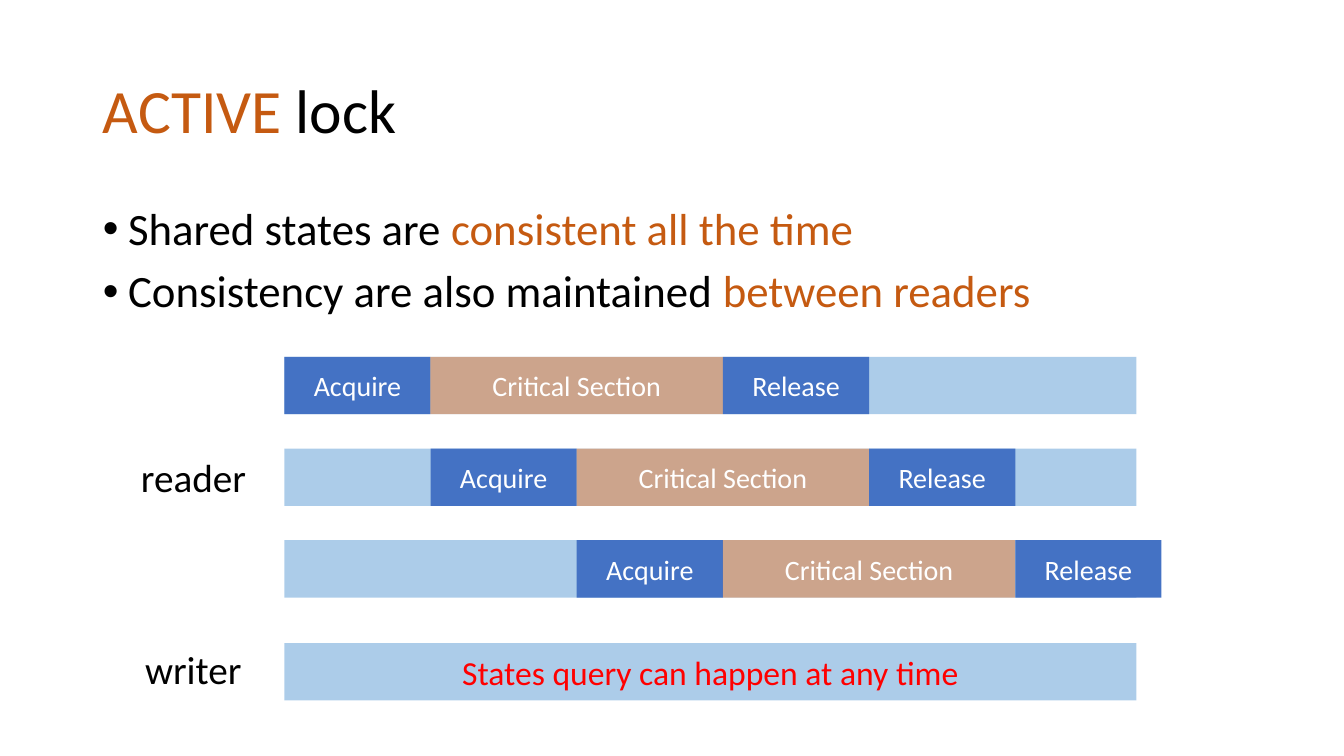
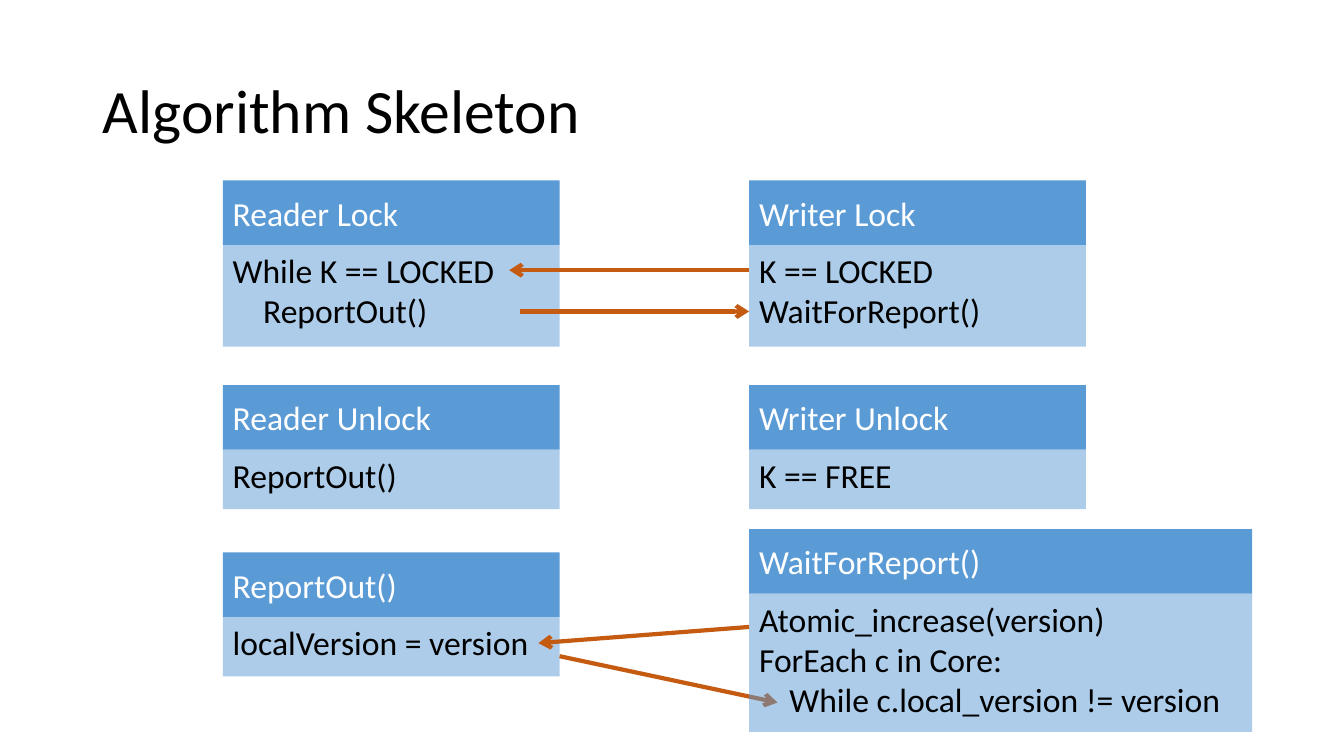
import pptx
import pptx.util
import pptx.dml.color
import pptx.enum.shapes
import pptx.enum.text
import pptx.oxml
import pptx.oxml.ns
import lxml.etree

Inches = pptx.util.Inches
Pt = pptx.util.Pt
ALIGN = pptx.enum.text.PP_ALIGN
ANCHOR = pptx.enum.text.MSO_ANCHOR

FONT = "Calibri"
COLORS = {
    "black": "000000",
    "white": "FFFFFF",
    "accent": "C55A11",
    "red": "FF0000",
    "sky": "5B9BD5",
    "blue": "4472C4",
    "orange": "ED7D31",
}

LOCK_TITLE = [("ACTIVE ", "accent"), ("lock", "black")]
LOCK_BULLETS = [
    [("Shared states are ", "black"), ("consistent all the time", "accent")],
    [("Consistency are also maintained ", "black"), ("between readers", "accent")],
]
LANE_LEFT, LANE_TOP, LANE_STEP = 2.82, 3.54, 0.91
LANE_WIDTH, LANE_HEIGHT = 8.45, 0.57
READER_COUNT = 3
PHASE_UNIT = 1.45
PHASES = [
    ("Acquire", 1, "blue", 100),
    ("Critical Section", 2, "orange", 50),
    ("Release", 1, "blue", 100),
]
WRITER_TOP = 6.38
WRITER_TEXT = "States query can happen at any time"
LANE_LABELS = [("reader", 1.3, 4.45, 1.25), ("writer", 1.34, 6.35, 1.17)]

SKELETON_TITLE = [("Algorithm Skeleton", "black")]
LEFT_COLUMN, RIGHT_COLUMN = 2.21, 7.43
CARD_WIDTH, WIDE_CARD = 3.34, 4.99
HEADER_HEIGHT = 0.64
BODY_HEIGHTS = {1: 0.59, 2: 1.01, 3: 1.37}
CARDS = [
    (LEFT_COLUMN, 1.79, CARD_WIDTH, "Reader Lock", ["While K == LOCKED", "    ReportOut()"]),
    (LEFT_COLUMN, 3.82, CARD_WIDTH, "Reader Unlock", ["ReportOut()"]),
    (LEFT_COLUMN, 5.48, CARD_WIDTH, "ReportOut()", ["localVersion = version"]),
    (RIGHT_COLUMN, 1.79, CARD_WIDTH, "Writer Lock", ["K == LOCKED", "WaitForReport()"]),
    (RIGHT_COLUMN, 3.82, CARD_WIDTH, "Writer Unlock", ["K == FREE"]),
]
WAIT_CARD = (
    RIGHT_COLUMN, 5.25, WIDE_CARD, "WaitForReport()",
    ["Atomic_increase(version)", "ForEach c in Core:", "    While c.local_version != version"],
)
ARROWS = [
    (RIGHT_COLUMN, 2.68, 5.05, 2.68),
    (5.16, 3.09, RIGHT_COLUMN, 3.09),
    (RIGHT_COLUMN, 6.22, 5.34, 6.38),
    (LEFT_COLUMN + CARD_WIDTH, 6.51, 7.71, 6.97),
]


def rgb(name):
    return pptx.dml.color.RGBColor.from_string(COLORS[name])


def place(shape, left, top, width, height):
    shape.left, shape.top = Inches(left), Inches(top)
    shape.width, shape.height = Inches(width), Inches(height)


def format_span(span, size, color):
    span.font.name = FONT
    span.font.size = Pt(size)
    span.font.color.rgb = rgb(color)


def add_spans(para, parts, size):
    for text, color in parts:
        span = para.add_run()
        span.text = text
        format_span(span, size, color)


def write_text(frame, lines, size, color, align=ALIGN.LEFT):
    frame.text = "\n".join(lines)
    for para in frame.paragraphs:
        para.alignment = align
        for span in para.runs:
            format_span(span, size, color)


def add_page(deck, layout, title_parts):
    page = deck.slides.add_slide(deck.slide_layouts[layout])
    title = page.shapes.title
    place(title, 0.92, 0.4, 11.5, 1.45)
    title.text_frame.vertical_anchor = ANCHOR.MIDDLE
    para = title.text_frame.paragraphs[0]
    para.alignment = ALIGN.LEFT
    para.line_spacing = 0.9
    add_spans(para, title_parts, 44)
    return page


def add_bullets(body, items):
    place(body, 0.92, 2, 11.5, 4.76)
    frame = body.text_frame
    frame.auto_size = pptx.enum.text.MSO_AUTO_SIZE.NONE
    for index, parts in enumerate(items):
        para = frame.paragraphs[0] if index == 0 else frame.add_paragraph()
        properties = para._p.get_or_add_pPr()
        properties.set("marL", str(Inches(0.25)))
        properties.set("indent", str(Inches(-0.25)))
        bullet = lxml.etree.SubElement(properties, pptx.oxml.ns.qn("a:buChar"))
        bullet.set("char", "•")
        para.line_spacing = 0.9
        para.space_before = Pt(10 if index else 0)
        add_spans(para, parts, 32)


def add_block(page, left, top, width, height, fill, opacity=100):
    block = page.shapes.add_shape(
        pptx.enum.shapes.MSO_SHAPE.RECTANGLE,
        Inches(left), Inches(top), Inches(width), Inches(height))
    block.shadow.inherit = False
    block.line.fill.background()
    block.fill.solid()
    block.fill.fore_color.rgb = rgb(fill)
    if opacity < 100:
        color = block._element.spPr.find(".//" + pptx.oxml.ns.qn("a:srgbClr"))
        alpha = lxml.etree.SubElement(color, pptx.oxml.ns.qn("a:alpha"))
        alpha.set("val", str(opacity * 1000))
    block.text_frame.word_wrap = True
    block.text_frame.vertical_anchor = ANCHOR.MIDDLE
    return block


def add_lane(page, top):
    return add_block(page, LANE_LEFT, top, LANE_WIDTH, LANE_HEIGHT, "sky", 50)


def add_reader(page, index):
    top = LANE_TOP + index * LANE_STEP
    add_lane(page, top)
    left = LANE_LEFT + index * PHASE_UNIT
    for text, units, fill, opacity in PHASES:
        width = units * PHASE_UNIT
        phase = add_block(page, left, top, width, LANE_HEIGHT, fill, opacity)
        write_text(phase.text_frame, [text], 20, "white", ALIGN.CENTER)
        left += width


def add_card(page, left, top, width, heading, code):
    body = add_block(page, left, top + HEADER_HEIGHT, width, BODY_HEIGHTS[len(code)], "sky", 50)
    body.text_frame.vertical_anchor = ANCHOR.TOP
    write_text(body.text_frame, code, 24, "black")
    header = add_block(page, left, top, width, HEADER_HEIGHT, "sky")
    write_text(header.text_frame, [heading], 24, "white")


def add_arrow(page, *ends):
    arrow = page.shapes.add_connector(
        pptx.enum.shapes.MSO_CONNECTOR.STRAIGHT, *[Inches(end) for end in ends])
    arrow.line.color.rgb = rgb("accent")
    arrow.line.width = Pt(3)
    line = arrow.line._get_or_add_ln()
    lxml.etree.SubElement(line, pptx.oxml.ns.qn("a:tailEnd")).set("type", "arrow")
    lxml.etree.SubElement(arrow._element.spPr, pptx.oxml.ns.qn("a:effectLst"))


def build_lock_page(deck):
    page = add_page(deck, 1, LOCK_TITLE)
    add_bullets(page.placeholders[1], LOCK_BULLETS)
    for text, left, top, width in LANE_LABELS:
        label = page.shapes.add_textbox(Inches(left), Inches(top), Inches(width), Inches(0.57))
        label.text_frame.word_wrap = False
        write_text(label.text_frame, [text], 28, "black")
    writer = add_lane(page, WRITER_TOP)
    write_text(writer.text_frame, [WRITER_TEXT], 24, "red", ALIGN.CENTER)
    for index in range(READER_COUNT):
        add_reader(page, index)


def build_skeleton_page(deck):
    page = add_page(deck, 5, SKELETON_TITLE)
    for card in CARDS:
        add_card(page, *card)
    for ends in ARROWS:
        add_arrow(page, *ends)
    add_card(page, *WAIT_CARD)


def main():
    deck = pptx.Presentation()
    deck.slide_width, deck.slide_height = Inches(13.33), Inches(7.5)
    build_lock_page(deck)
    build_skeleton_page(deck)
    deck.save("out.pptx")


if __name__ == "__main__":
    main()
